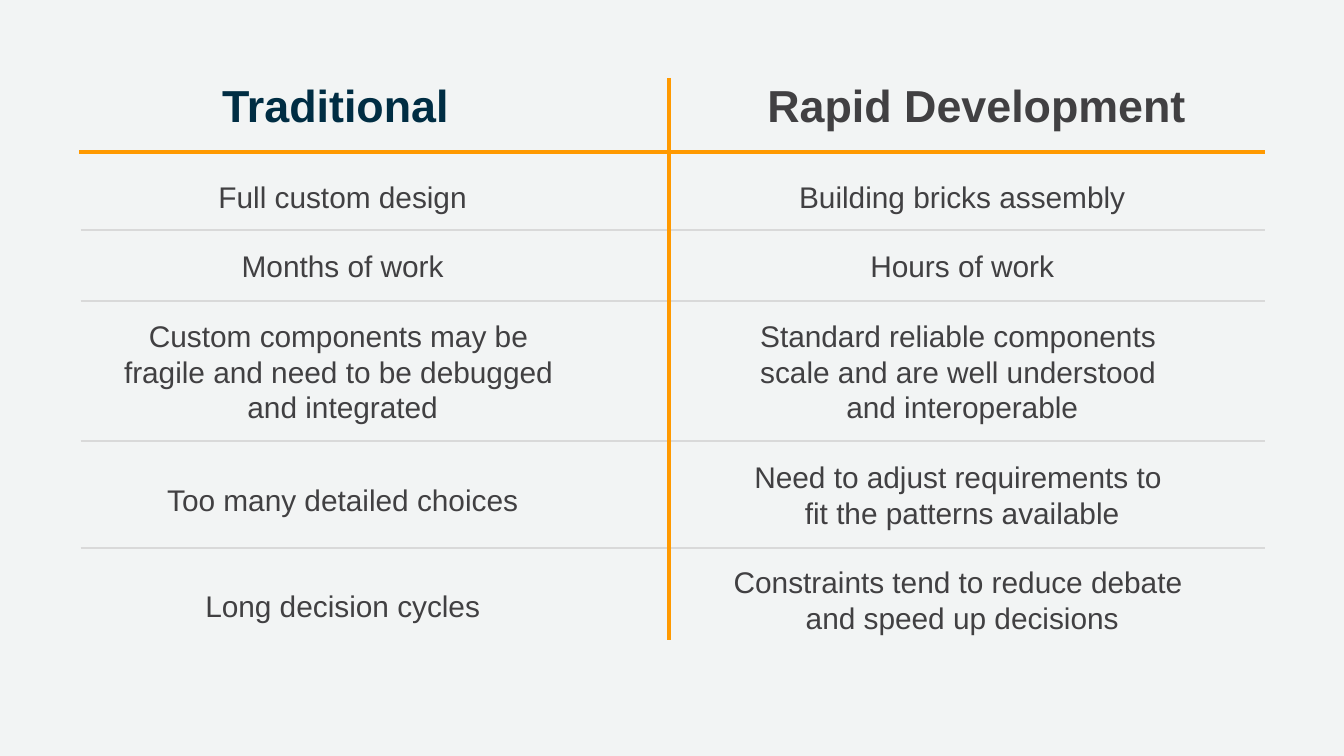
from lxml import etree
from pptx import Presentation
from pptx.dml.color import RGBColor
from pptx.enum import shapes, text
from pptx.oxml.ns import qn
from pptx.util import Inches, Pt

COLORS = {"back": "F2F4F4", "navy": "002D43", "text": "414042",
          "rule": "D9D9D9", "accent": "FF9900"}

# Each entry: wording, line spacing, space before
LEFT = [
    ("Full custom design", 1.0, 0),
    ("Months of work", 1.0, 18),
    ("Custom components may be \vfragile and need to be debugged \vand integrated", 1.0, 18),
    ("Too many detailed choices", 1.5, 21),
    ("Long decision cycles", 2.0, 18),
]
RIGHT = [(words, 1.0, 18 if row else 0) for row, words in enumerate([
    "Building bricks assembly",
    "Hours of work",
    "Standard reliable components \vscale and are well understood \vand interoperable",
    "Need to adjust requirements to \vfit the patterns available",
    "Constraints tend to reduce debate \vand speed up decisions",
])]
HEAD = {"size": Pt(24), "bold": True, "name": "Arial"}
BODY = {"size": Pt(16), "bold": False, "name": "Arial"}
RULES = [1.71, 2.24, 3.28, 4.08]
EDGE, END, MID = 0.6, 9.41, 4.98
TOP, HIGH = 1.28, 3.48


def color(name):
    return RGBColor.from_string(COLORS[name])


def fill(box, area, paras, style, tint):
    """Place a box and write its centred paragraphs."""
    box.left, box.top, box.width, box.height = map(Inches, area)
    frame = box.text_frame
    form = {"word_wrap": True, "auto_size": text.MSO_AUTO_SIZE.NONE,
            "vertical_anchor": text.MSO_ANCHOR.TOP,
            "margin_top": Inches(0.05), "margin_bottom": Inches(0.05)}
    for key, value in form.items():
        setattr(frame, key, value)
    for num, (words, lead, gap) in enumerate(paras):
        para = frame.add_paragraph() if num else frame.paragraphs[0]
        para.text = words
        para.alignment = text.PP_ALIGN.CENTER
        para.line_spacing, para.space_before = lead, Pt(gap)
        for run in para.runs:
            for key, value in style.items():
                setattr(run.font, key, value)
            run.font.color.rgb = color(tint)


def rule(slide, ends, tint, width):
    line = slide.shapes.add_connector(
        shapes.MSO_CONNECTOR.STRAIGHT, *map(Inches, ends))
    line.line.color.rgb, line.line.width = color(tint), Pt(width)
    etree.SubElement(line._element.spPr, qn("a:effectLst"))


def main():
    deck = Presentation()
    wide = Inches(10)
    deck.slide_width, deck.slide_height = wide, wide * 9 // 16
    slide = deck.slides.add_slide(deck.slide_layouts[5])
    slide.background.fill.solid()
    slide.background.fill.fore_color.rgb = color("back")

    def add():
        return slide.shapes.add_textbox(0, 0, 0, 0)

    fill(slide.shapes.title, (0.39, 0.53, 4.21, 0.6),
         [("Traditional", 1.0, 0)], HEAD, "navy")
    fill(add(), (5.44, 0.53, 3.65, 0.6),
         [("Rapid Development", 1.0, 0)], HEAD, "text")
    for left, paras in ((0.37, LEFT), (MID, RIGHT)):
        fill(add(), (left, TOP, 4.36, HIGH), paras, BODY, "text")

    for y in RULES:
        rule(slide, (EDGE, y, END, y), "rule", 1.25)
    rule(slide, (0.59, 1.13, END, 1.13), "accent", 2)
    rule(slide, (MID, 0.58, MID, TOP + HIGH), "accent", 2)
    deck.save("out.pptx")


if __name__ == "__main__":
    main()
